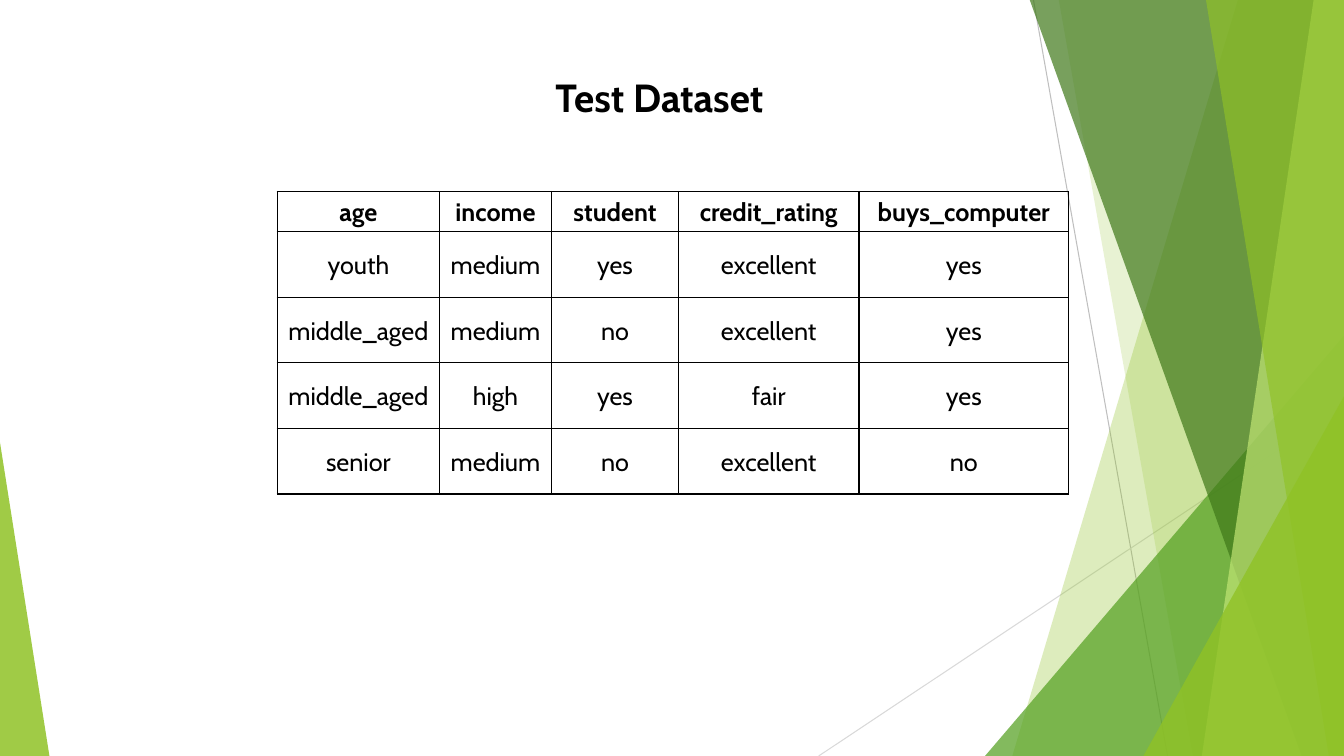
from dataclasses import dataclass

from lxml.etree import SubElement
from pptx import Presentation
from pptx.dml.color import RGBColor
from pptx.enum.shapes import MSO_CONNECTOR, MSO_SHAPE
from pptx.enum.text import MSO_ANCHOR, MSO_AUTO_SIZE, PP_ALIGN
from pptx.oxml import parse_xml
from pptx.oxml.ns import nsdecls, qn
from pptx.util import Inches, Pt


@dataclass(frozen=True)
class Theme:
    """Colours, font and type sizes of the slide."""
    font: str = "Cabin"
    title_size: int = 28
    table_size: int = 18
    ink: str = "000000"
    lime: str = "90C226"
    green: str = "54A021"
    forest: str = "3F7819"
    pale: str = "C0E474"
    steep_line: str = "BFBFBF"
    flat_line: str = "D9D9D9"


theme = Theme()
WIDTH, HEIGHT = 13.33, 7.5
TOP = -0.01  # the facets reach just past the top edge


def paint(shape, color, opacity):
    """Give a facet a see-through fill and neither line nor shadow."""
    shape.shadow.inherit = False
    shape.line.fill.background()
    shape.fill.solid()
    shape.fill.fore_color.rgb = RGBColor.from_string(color)
    color_element = shape.fill._xPr.find(qn("a:solidFill"))[0]
    SubElement(color_element, qn("a:alpha"), val=str(opacity * 1000))


def style_text(paragraph, size, bold):
    """Set the font of every run in a paragraph."""
    for run in paragraph.runs:
        run.font.name = theme.font
        run.font.size = Pt(size)
        run.font.bold = bold
        run.font.color.rgb = RGBColor.from_string(theme.ink)


presentation = Presentation()
presentation.slide_width = Inches(WIDTH)
presentation.slide_height = Inches(HEIGHT)
slide = presentation.slides.add_slide(presentation.slide_layouts[6])
shapes = slide.shapes

# Thin lines behind the facets
for start, end, color in [
    ((10.25, 0), (11.58, HEIGHT), theme.steep_line),
    ((WIDTH, 4.03), (8.12, HEIGHT), theme.flat_line),
]:
    line = shapes.add_connector(
        MSO_CONNECTOR.STRAIGHT, *[Inches(value) for value in start + end])
    line.line.color.rgb = RGBColor.from_string(color)
    line.line.width = Pt(0.75)
    SubElement(line._element.spPr, qn("a:effectLst"))

# Facets from back to front. A band runs from its top x to its bottom x and
# fills to the right edge; a triangle has left, top, width and apex position.
facets = [
    ("band", (12.28, 10.04), theme.lime, 30),
    ("band", (10.5, 11.83), theme.lime, 20),
    ("triangle", (9.77, 3.33, 3.56, 1), theme.green, 72),
    ("band", (10.21, 12.91), theme.forest, 70),
    ("band", (13.03, 11.92), theme.pale, 70),
    ("band", (11.96, 13.18), theme.lime, 65),
    ("triangle", (11.34, 3.93, 1.99, 1), theme.lime, 80),
    ("triangle", (0, 4.39, 0.49, 0), theme.lime, 85),
]
for kind, geometry, color, opacity in facets:
    if kind == "band":
        top_x, bottom_x = geometry
        builder = shapes.build_freeform(
            Inches(top_x), Inches(TOP), scale=1.0)
        builder.add_line_segments([
            (Inches(x), Inches(y))
            for x, y in [(WIDTH, TOP), (WIDTH, HEIGHT), (bottom_x, HEIGHT)]
        ], close=True)
        facet = builder.convert_to_shape()
    else:
        left, top, width, apex = geometry
        facet = shapes.add_shape(
            MSO_SHAPE.ISOSCELES_TRIANGLE, Inches(left), Inches(top),
            Inches(width), Inches(HEIGHT - top))
        facet.adjustments[0] = apex
    paint(facet, color, opacity)

# Title
title = shapes.add_textbox(
    Inches(5.41), Inches(0.68), Inches(2.99), Inches(0.57))
title.text_frame.word_wrap = True
title.text_frame.auto_size = MSO_AUTO_SIZE.SHAPE_TO_FIT_TEXT
title.text_frame.text = "Test Dataset"
style_text(title.text_frame.paragraphs[0], theme.title_size, True)

# Test data
records = [
    ["age", "income", "student", "credit_rating", "buys_computer"],
    ["youth", "medium", "yes", "excellent", "yes"],
    ["middle_aged", "medium", "no", "excellent", "yes"],
    ["middle_aged", "high", "yes", "fair", "yes"],
    ["senior", "medium", "no", "excellent", "no"],
]
column_widths = [1.61, 1.11, 1.26, 1.79, 2.08]
row_heights = [0.4] + [0.65] * 4
table = shapes.add_table(
    len(records), len(column_widths), Inches(2.75), Inches(1.9),
    Inches(sum(column_widths)), Inches(sum(row_heights))).table
table.horz_banding = False
for column, width in zip(table.columns, column_widths):
    column.width = Inches(width)
for row, height in zip(table.rows, row_heights):
    row.height = Inches(height)

for row_index, record in enumerate(records):
    for column_index, value in enumerate(record):
        cell = table.cell(row_index, column_index)
        cell.fill.background()
        cell.vertical_anchor = MSO_ANCHOR.MIDDLE
        cell.margin_left = cell.margin_right = Inches(0.07)
        cell.margin_top = cell.margin_bottom = 0
        cell.text_frame.text = value
        paragraph = cell.text_frame.paragraphs[0]
        paragraph.alignment = PP_ALIGN.CENTER
        paragraph.line_spacing = 1.07
        style_text(paragraph, theme.table_size, row_index == 0)
        properties = cell._tc.get_or_add_tcPr()
        for position, side in enumerate(["lnL", "lnR", "lnT", "lnB"]):
            properties.insert(position, parse_xml(
                f'<a:{side} {nsdecls("a")} w="{Pt(1)}"><a:solidFill>'
                f'<a:srgbClr val="{theme.ink}"/></a:solidFill></a:{side}>'))

presentation.save("out.pptx")
